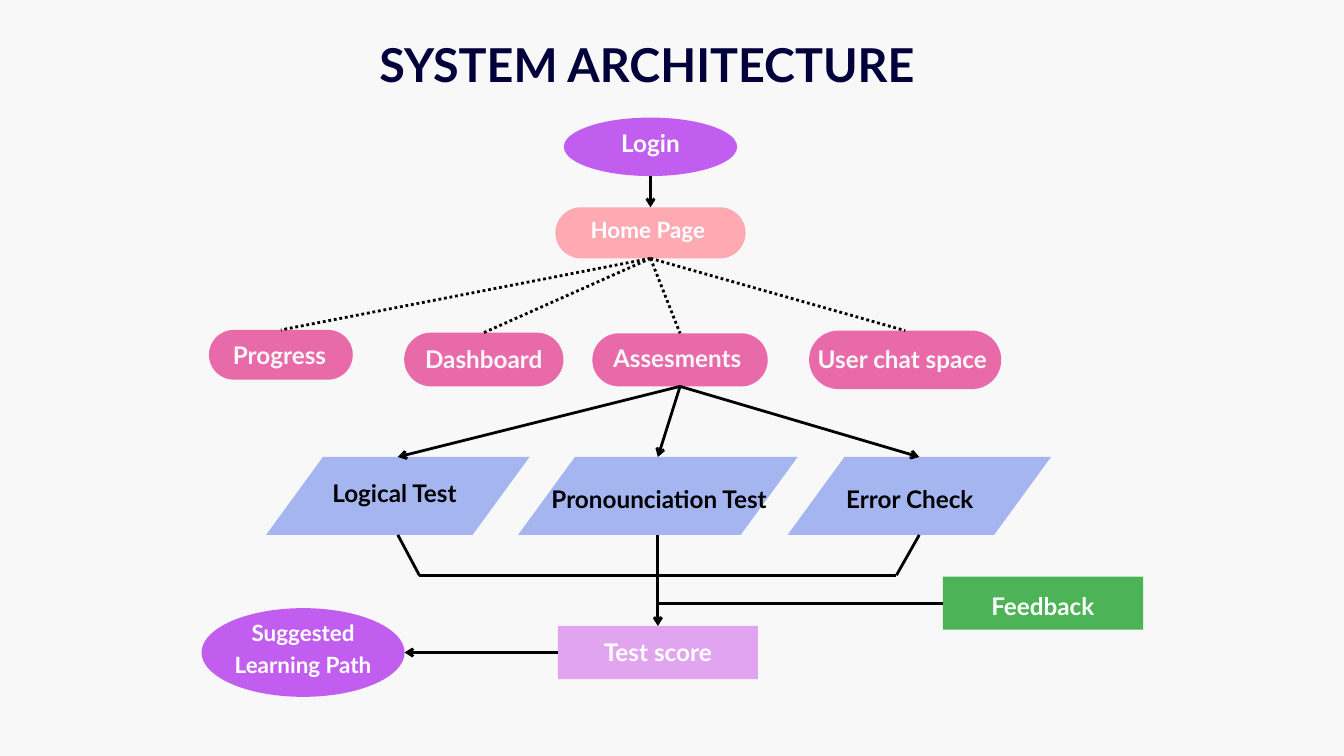
from itertools import pairwise
from pptx import Presentation, util as u
from pptx.dml.color import RGBColor
from pptx.enum import dml, shapes, text
from pptx.oxml.ns import qn
from lxml import etree

deck = Presentation()
deck.slide_width, deck.slide_height = u.Inches(20), u.Inches(11.25)
unit = deck.slide_width / 200
slide = deck.slides.add_slide(deck.slide_layouts[5])


def paint(fill, tone):
    fill.solid()
    fill.fore_color.rgb = RGBColor.from_string(tone)


def write(frame, words, size, lead, tone):
    para = frame.paragraphs[0]
    para.alignment = text.PP_ALIGN.CENTER
    para.line_spacing = u.Pt(lead)
    run = para.add_run()
    run.text = words
    run.font.name, run.font.size, run.font.bold = "Lato", u.Pt(size), True
    run.font.color.rgb = RGBColor.from_string(tone)


paint(slide.background.fill, "F8F8F8")

title = slide.shapes.title
title.left, title.top, title.width, title.height = (
    round(n * unit) for n in (42.1, 5.3, 108.4, 8.4))
frame = title.text_frame
frame.word_wrap = True
frame.auto_size = text.MSO_AUTO_SIZE.NONE
frame.vertical_anchor = text.MSO_ANCHOR.TOP
frame.margin_left = frame.margin_right = frame.margin_top = frame.margin_bottom = 0
write(frame, "SYSTEM ARCHITECTURE", 50, 60, "01003B")

kind = shapes.MSO_SHAPE
oval, pill, slant, box = kind.OVAL, kind.ROUNDED_RECTANGLE, kind.PARALLELOGRAM, kind.RECTANGLE
bend = {pill: 0.5, slant: 0.73}
pink, blue, plum = "E96AA9", "A5B5F0", "C15EF0"
white, pale, black = "FFFFFF", "F8F8F8", "000000"

# name, form, centre column, centre row, columns, rows, fill, ink, size, text shift
nodes = [
    ("Login", oval, 96.8, 21.85, 25.8, 8.7, plum, white, 26, 0, -0.9),
    ("Home Page", pill, 96.8, 34.65, 28.3, 7.6, "FFAAB2", white, 24, -0.4, -0.8),
    ("Progress", pill, 41.8, 52.8, 21.4, 7.4, pink, pale, 26, -0.2, -0.4),
    ("Dashboard", pill, 72, 53.5, 23.7, 8, pink, pale, 26, 0, -0.5),
    ("User chat space", pill, 134.7, 53.55, 28.6, 8.7, pink, pale, 26, -0.4, -0.5),
    ("Assesments", pill, 101.2, 53.55, 26.1, 7.9, pink, pale, 26, -0.4, -0.6),
    ("Logical Test", slant, 59.2, 73.8, 39.2, 11.6, blue, black, 26, -0.5, -0.8),
    ("Error Check", slant, 136.8, 73.8, 39.2, 11.6, blue, black, 26, -1.4, 0),
    ("Pronounciation Test", slant, 97.9, 73.8, 41.6, 11.6, blue, black, 26, 0.2, 0.1),
    ("Test score", box, 97.9, 97.1, 29.8, 7.9, "E1A5F0", white, 26, 0, -0.5),
    ("Feedback", box, 155.2, 89.75, 29.8, 7.9, "4CB456", white, 26, 0, 0),
    ("Suggested Learning Path", oval, 45.1, 97.1, 30.2, 13.2, plum, white, 24, 0, -0.9),
]
made = {}
for name, form, mid, row, wide, high, fill, ink, size, right, down in nodes:
    node = slide.shapes.add_shape(form, *(
        round(n * unit) for n in (mid - wide / 2, row - high / 2, wide, high)))
    node.shadow.inherit = False
    paint(node.fill, fill)
    node.line.fill.background()
    if form in bend:
        node.adjustments[0] = bend[form]
    frame = node.text_frame
    frame.word_wrap = name.startswith("Suggested")
    frame.vertical_anchor = text.MSO_ANCHOR.MIDDLE
    frame.margin_left, frame.margin_right, frame.margin_top, frame.margin_bottom = (
        round(max(0, 2 * n) * unit) for n in (right, -right, down, -down))
    write(frame, name, size, size * 1.4, ink)
    made[name] = node

home, quiz, score = (96.8, 38.45), (101.2, 57.5), (97.9, 93.15)
top, base, rail = 68, 79.6, 85.6
links = [((96.8, 26.2), (96.8, 30.85), "arrow", None, ("Home Page", 0))]
for name, spot in (("User chat space", (134.7, 49.2)), ("Assesments", (101.2, 49.6)),
                   ("Dashboard", (72, 49.5)), ("Progress", (41.8, 49.1))):
    links.append((home, spot, "dots", ("Home Page", 2), (name, 0)))
for mid in (136.8, 97.9, 59.2):
    links.append((quiz, (mid, top), "arrow", ("Assesments", 2), None))
for start, stop in pairwise([(59.2, base), (62.4, rail), (133.4, rail), (136.8, base)]):
    links.append((start, stop, "plain", None, None))
links += [
    ((97.9, 89.75), (140.3, 89.75), "plain", None, ("Feedback", 1)),
    ((97.9, base), score, "arrow", None, ("Test score", 0)),
    ((83, 97.1), (60.2, 97.1), "arrow", ("Test score", 1), None),
]
for start, stop, style, source, goal in links:
    link = slide.shapes.add_connector(shapes.MSO_CONNECTOR.STRAIGHT, *(
        round(n * unit) for n in (*start, *stop)))
    if source:
        link.begin_connect(made[source[0]], source[1])
    if goal:
        link.end_connect(made[goal[0]], goal[1])
    paint(link.line.fill, black)
    link.line.width = u.Pt(3)
    if style == "dots":
        link.line.dash_style = dml.MSO_LINE.ROUND_DOT
    if style == "arrow":
        etree.SubElement(link.line._get_or_add_ln(), qn("a:tailEnd"), type="arrow")
    etree.SubElement(link._element.spPr, qn("a:effectLst"))

deck.save("out.pptx")
